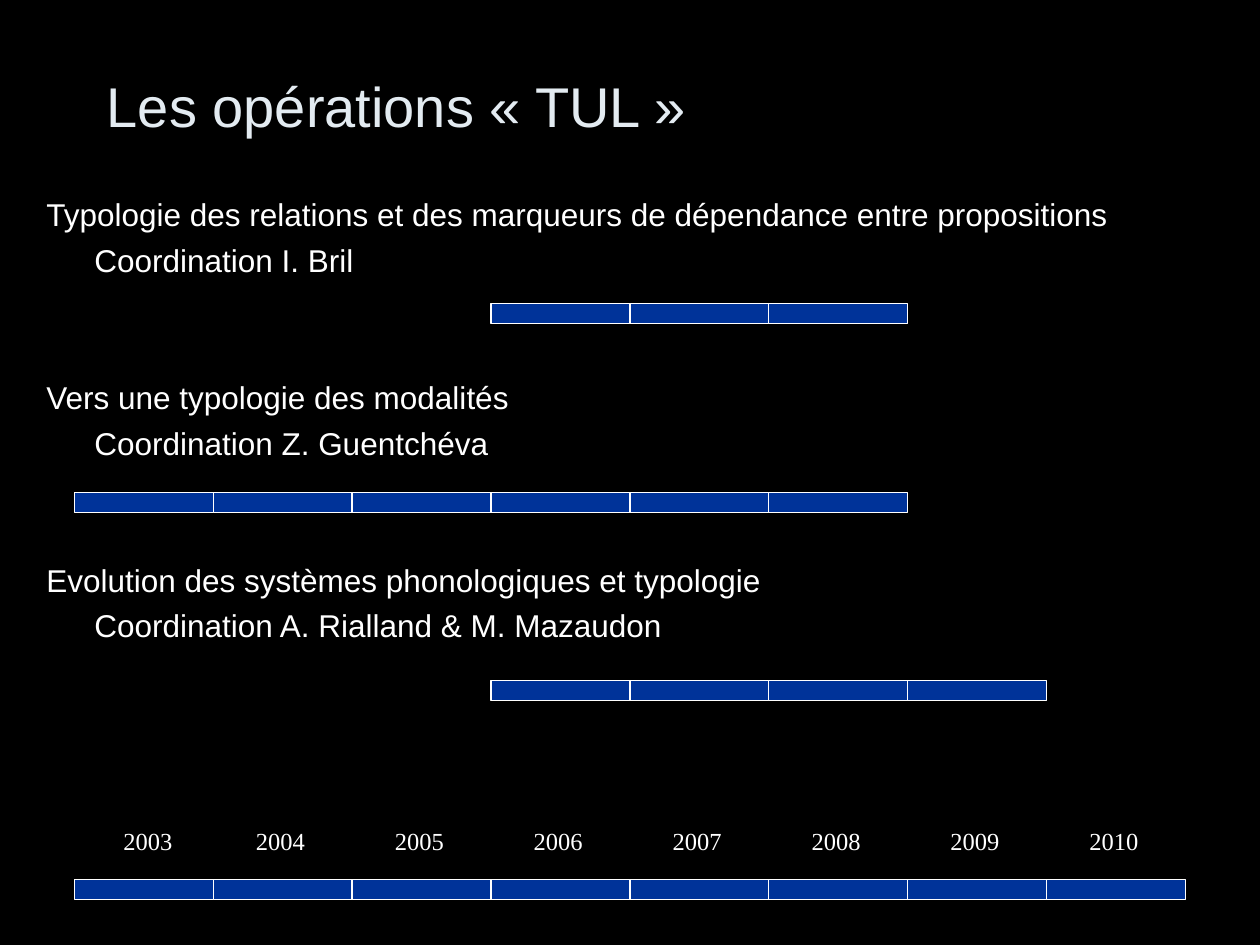
from collections import namedtuple
from pptx import Presentation
from pptx.dml.color import RGBColor
from pptx.enum.shapes import MSO_SHAPE
from pptx.enum.text import MSO_ANCHOR, MSO_AUTO_SIZE
from pptx.util import Inches, Pt

# Colours, fonts and type sizes
Theme = namedtuple("Theme", "back title text bar sans serif head body year")
theme = Theme(
    back=RGBColor(0x00, 0x00, 0x00),
    title=RGBColor(0xE3, 0xEB, 0xF1),
    text=RGBColor(0xFF, 0xFF, 0xFF),
    bar=RGBColor(0x00, 0x33, 0x99),
    sans="Arial", serif="Times New Roman",
    head=Pt(32), body=Pt(18), year=Pt(14),
)

# Time grid: one column per year
first, last = 2003, 2010
left, right = Inches(0.59), Inches(9.41)
col = (right - left) / (last - first + 1)
thick = Inches(0.16)

# Operations: title, coordination, first year, last year, top of bar
plans = [
    ("Typologie des relations et des marqueurs de dépendance entre propositions",
     "Coordination I. Bril", 2006, 2008, 2.41),
    ("Vers une typologie des modalités",
     "Coordination Z. Guentchéva", 2003, 2008, 3.91),
    ("Evolution des systèmes phonologiques et typologie",
     "Coordination A. Rialland & M. Mazaudon", 2006, 2009, 5.4),
]

# Line pitch of the list
line, space = Pt(21.6), Pt(4.5)
gap = 2 * (line + space) + space


def write(para, words, size, face, color):
    run = para.add_run()
    run.text = words
    run.font.size = size
    run.font.name = face
    run.font.color.rgb = color


def draw_bar(start, end, top):
    for year in range(start, end + 1):
        x = int(left + (year - first) * col)
        cell = slide.shapes.add_shape(
            MSO_SHAPE.RECTANGLE, x, Inches(top), int(col), thick)
        cell.shadow.inherit = False
        cell.fill.solid()
        cell.fill.fore_color.rgb = theme.bar
        cell.line.color.rgb = theme.text
        cell.line.width = Pt(0.75)


deck = Presentation()
deck.slide_width, deck.slide_height = Inches(10), Inches(7.5)
slide = deck.slides.add_slide(deck.slide_layouts[6])
slide.background.fill.solid()
slide.background.fill.fore_color.rgb = theme.back

# Title
box = slide.shapes.add_textbox(
    Inches(0.75), Inches(0.42), Inches(8.5), Inches(0.83))
frame = box.text_frame
frame.word_wrap = True
frame.vertical_anchor = MSO_ANCHOR.MIDDLE
write(frame.paragraphs[0], "Les opérations « TUL »",
      theme.head, theme.sans, theme.title)

# List of operations
box = slide.shapes.add_textbox(
    Inches(0.27), Inches(1.5), Inches(9.45), Inches(5.72))
frame = box.text_frame
frame.word_wrap = True
for i, (name, lead, *_) in enumerate(plans):
    para = frame.add_paragraph() if i else frame.paragraphs[0]
    para.line_spacing = line
    if i:
        para.space_before = gap
    write(para, name, theme.body, theme.sans, theme.text)

    para = frame.add_paragraph()
    para.line_spacing = line
    para.space_before = space
    para._p.get_or_add_pPr().set("marL", str(Inches(0.38)))
    write(para, lead, theme.body, theme.sans, theme.text)

# Bars of the operations and of the time axis
for name, lead, start, end, top in plans:
    draw_bar(start, end, top)
draw_bar(first, last, 6.98)

# Year labels, the first one set slightly to the right
for year in range(first, last + 1):
    shift = Inches(0.29 if year == first else 0.24)
    x = int(left + (year - first) * col + shift)
    box = slide.shapes.add_textbox(x, Inches(6.51), Inches(0.59), Inches(0.34))
    frame = box.text_frame
    frame.word_wrap = False
    frame.auto_size = MSO_AUTO_SIZE.SHAPE_TO_FIT_TEXT
    write(frame.paragraphs[0], str(year), theme.year, theme.serif, theme.text)

deck.save("out.pptx")
